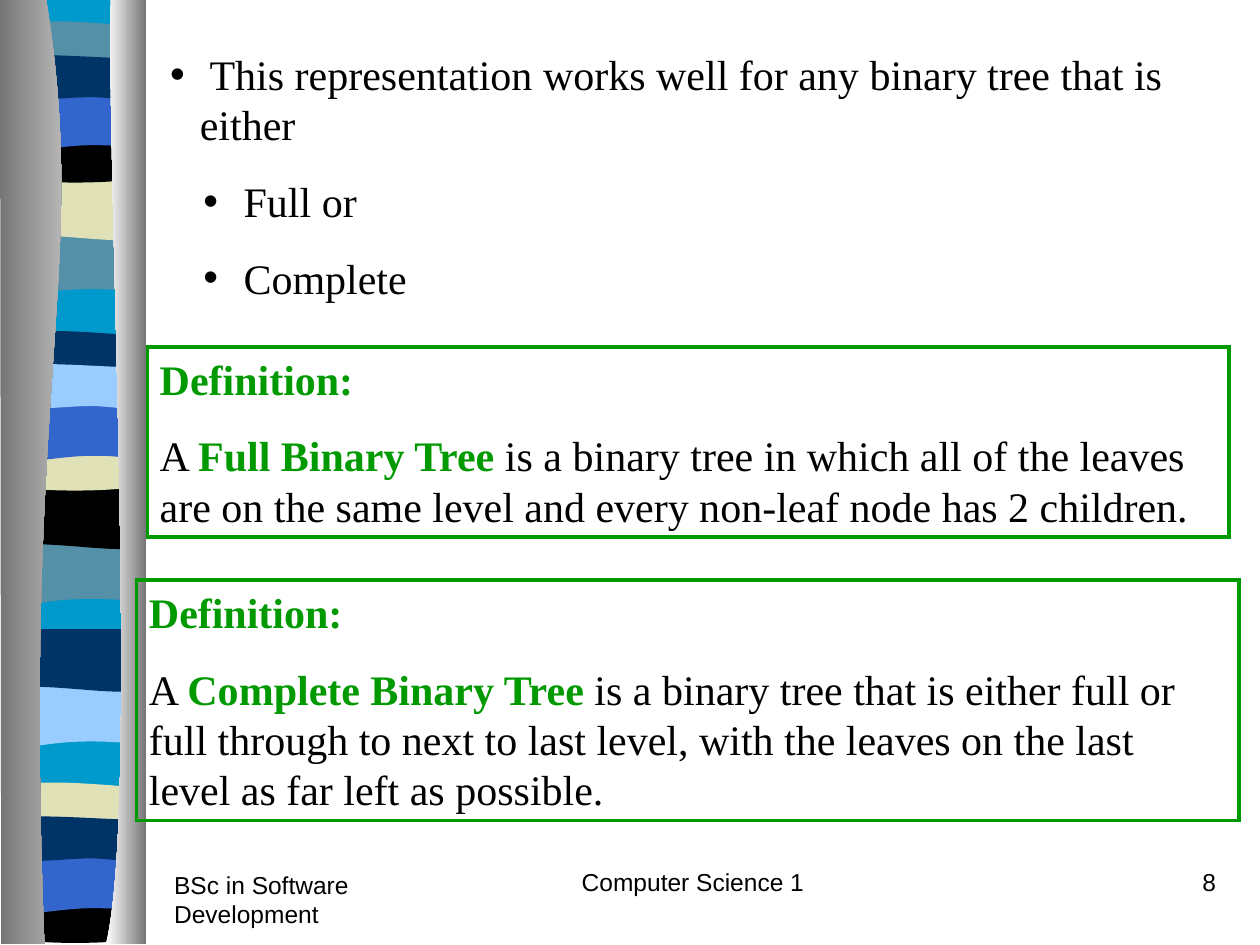
from dataclasses import dataclass

from lxml import etree
from pptx import Presentation
from pptx.dml.color import RGBColor
from pptx.enum.shapes import MSO_SHAPE
from pptx.enum.text import MSO_ANCHOR, MSO_AUTO_SIZE, PP_ALIGN
from pptx.oxml.ns import qn
from pptx.util import Pt

RECTANGLE = MSO_SHAPE.RECTANGLE
TOP = MSO_ANCHOR.TOP
GROW = MSO_AUTO_SIZE.SHAPE_TO_FIT_TEXT
FIXED = MSO_AUTO_SIZE.NONE
LEFT, CENTER, RIGHT = PP_ALIGN.LEFT, PP_ALIGN.CENTER, PP_ALIGN.RIGHT

BLACK, GREEN, GRAY, WHITE = "000000", "009900", "767676", "FFFFFF"
SKY, TEAL, SAND = "0099CC", "5490A8", "E1E1B7"
BLUE, NAVY, PALE, SILVER = "3366CC", "003366", "99CCFF", "D3D3D3"

BAND_LEFT = 4
UNITS = 100  # outline steps per point
BULLET_INDENT = 17

SERIF = {"name": "Times New Roman", "size": Pt(24)}
SANS = {"name": "Arial", "size": Pt(14)}


@dataclass
class Band:
    """An outline of lines (2 numbers) and curves (6), and its (top, colour) uses."""
    outline: list[tuple[float, ...]]
    uses: list[tuple[float, str]]


@dataclass
class Definition:
    frame: tuple[float, float, float, float]
    term: str
    meaning: str


@dataclass
class Footer:
    frame: tuple[float, float, float, float]
    text: str
    align: PP_ALIGN


BANDS = [
    Band([(78, 0), (78, 34), (24, 28, 13, 39.5, 0, 34), (0, 0)],
         [(133, TEAL), (310, TEAL), (391.5, PALE)]),
    Band([(78, 0), (78, 34), (65, 39.5, 24, 30, 0, 34), (0, 0)],
         [(101.5, SAND), (278, BLACK), (359.5, NAVY)]),
    Band([(78, 3.6), (78, 21), (65, 24, 13, 24, 0, 21), (0, 3.6),
          (4.5, 0, 16.5, 0.7, 29.5, 0.7), (42.5, 0.7, 67.7, 2.9, 78, 3.6)],
         [(11.5, TEAL), (188.5, NAVY), (446.5, SAND)]),
    Band([(78, 0), (78, 23), (65, 27.4, 13, 27.4, 0, 23), (0, 0),
          (47.5, 3.6, 61, 0, 78, 0)],
         [(78, BLACK), (254, SAND), (512.5, BLACK)]),
    Band([(78, 0), (78, 34), (65.5, 30, 60.5, 30, 47.5, 30),
          (34.5, 30, 11.5, 34, 0, 34), (0, 0)],
         [(53, BLUE), (230.5, BLUE), (489, BLUE)]),
    Band([(78, 3.6), (78, 26), (73, 29.5, 60.5, 26, 47.5, 26),
          (34.5, 26, 8, 29.5, 0, 26), (0, 3.6), (11, 0, 52.5, 3.6, 65.5, 3.6)],
         [(29.5, NAVY), (206, PALE), (464.5, NAVY)]),
]
BACKDROP = [(78, 0), (78, 538), (0, 538), (0, 0)]
LEFT_CURTAIN = [(26.4, 0), (51.4, 155.5, 12.4, 213, 25.4, 539.5), (0.7, 539.5), (0, 0)]
RIGHT_CURTAIN = [(63.4, 0), (60.5, 90, 80, 465, 60.5, 539.5), (83.5, 539.5), (83.5, 0)]

BULLETS = [
    (0, " This representation works well for any binary tree that is either"),
    (1, " Full or"),
    (1, " Complete"),
]
DEFINITIONS = [
    Definition((84.2, 198.2, 618, 108.7), "Full Binary Tree",
               " is a binary tree in which all of the leaves are on the same level "
               "and every non-leaf node has 2 children."),
    Definition((78, 331.5, 630, 137.5), "Complete Binary Tree",
               " is a binary tree that is either full or full through to next to last "
               "level, with the leaves on the last level as far left as possible."),
]
FOOTERS = [
    Footer((282, 492, 228, 36), "Computer Science 1", CENTER),
    Footer((552, 492, 150, 36), "8", RIGHT),
    Footer((92.4, 493.5, 150, 36), "BSc in Software Development", LEFT),
]


def color(value: str) -> RGBColor:
    return RGBColor.from_string(value)


def bend(shape, outline: list[tuple[float, ...]]) -> None:
    """Join each curve's three line segments into one cubic curve."""
    segments = iter(shape.element.findall(".//" + qn("a:lnTo")))
    for step in outline[1:]:
        parts = [next(segments) for _ in range(len(step) // 2)]
        if len(parts) == 3:
            curve = etree.Element(qn("a:cubicBezTo"))
            parts[0].addprevious(curve)
            for part in parts:
                curve.append(part[0])
                part.getparent().remove(part)


def draw_outline(ribbon, outline: list[tuple[float, ...]], left: float, top: float,
                 colors: list[str]) -> None:
    """Draw a filled outline; two colours give a left-to-right gradient."""
    points = [(step[index] * UNITS, step[index + 1] * UNITS)
              for step in outline for index in range(0, len(step), 2)]
    builder = ribbon.shapes.build_freeform(*points[0], scale=Pt(1) / UNITS)
    builder.add_line_segments(points[1:], close=True)
    shape = builder.convert_to_shape(Pt(left), Pt(top))
    bend(shape, outline)
    shape.shadow.inherit = False
    shape.line.fill.background()
    if len(colors) == 1:
        shape.fill.solid()
        shape.fill.fore_color.rgb = color(colors[0])
    else:
        shape.fill.gradient()
        shape.fill.gradient_angle = 0
        for stop, value in zip(shape.fill.gradient_stops, colors):
            stop.color.rgb = color(value)


def add_span(para, text: str, style: dict, ink: str = BLACK, bold: bool = False) -> None:
    span = para.add_run()
    span.text = text
    for name, value in {**style, "bold": bold}.items():
        setattr(span.font, name, value)
    span.font.color.rgb = color(ink)


def add_para(frame, first: bool, before: float, align: PP_ALIGN = LEFT):
    para = frame.paragraphs[0] if first else frame.add_paragraph()
    for name, value in {"space_before": Pt(before), "alignment": align}.items():
        setattr(para, name, value)
    return para


def format_frame(frame, auto_size: MSO_AUTO_SIZE) -> None:
    settings = {"word_wrap": True, "auto_size": auto_size, "vertical_anchor": TOP}
    for name, value in settings.items():
        setattr(frame, name, value)


def draw_bullets(box) -> None:
    box.left, box.top, box.width, box.height = Pt(90), Pt(24), Pt(606), Pt(152.5)
    format_frame(box.text_frame, GROW)
    for index, (level, text) in enumerate(BULLETS):
        para = add_para(box.text_frame, index == 0, 15)
        para.level = level
        add_span(para, text, SERIF)
        properties = para._p.get_or_add_pPr()
        properties.set("marL", str(Pt(36 if level else BULLET_INDENT)))
        properties.set("indent", str(-Pt(BULLET_INDENT)))
        etree.SubElement(properties, qn("a:buChar"), char="•")


def draw_definition(slide, definition: Definition) -> None:
    box = slide.shapes.add_shape(RECTANGLE, *map(Pt, definition.frame))
    box.shadow.inherit = False
    box.fill.background()
    box.line.color.rgb = color(GREEN)
    box.line.width = Pt(2)
    # Square corners
    etree.SubElement(box.element.spPr.find(qn("a:ln")), qn("a:miter"), lim="800000")
    format_frame(box.text_frame, GROW)
    add_span(add_para(box.text_frame, True, 15), "Definition:", SERIF, GREEN, True)
    para = add_para(box.text_frame, False, 15)
    add_span(para, "A ", SERIF)
    add_span(para, definition.term, SERIF, GREEN, True)
    add_span(para, definition.meaning, SERIF)


def draw_footer(slide, footer: Footer) -> None:
    box = slide.shapes.add_textbox(*map(Pt, footer.frame))
    format_frame(box.text_frame, FIXED)
    add_span(add_para(box.text_frame, True, 8.8, footer.align), footer.text, SANS)


def main() -> None:
    deck = Presentation()
    deck.slide_width, deck.slide_height = Pt(720), Pt(540)
    slide = deck.slides.add_slide(deck.slide_layouts[1])
    title = slide.shapes.title.element
    title.getparent().remove(title)

    # Striped ribbon between two curtains
    ribbon = slide.shapes.add_group_shape()
    draw_outline(ribbon, BACKDROP, BAND_LEFT, 0, [SKY])
    for band in BANDS:
        for top, fill in band.uses:
            draw_outline(ribbon, band.outline, BAND_LEFT, top, [fill])
    draw_outline(ribbon, LEFT_CURTAIN, 0, 0, [GRAY, SILVER])
    draw_outline(ribbon, RIGHT_CURTAIN, 0, 0, [WHITE, GRAY])

    # Text
    draw_bullets(slide.placeholders[1])
    for definition in DEFINITIONS:
        draw_definition(slide, definition)
    for footer in FOOTERS:
        draw_footer(slide, footer)

    deck.save("out.pptx")


if __name__ == "__main__":
    main()
